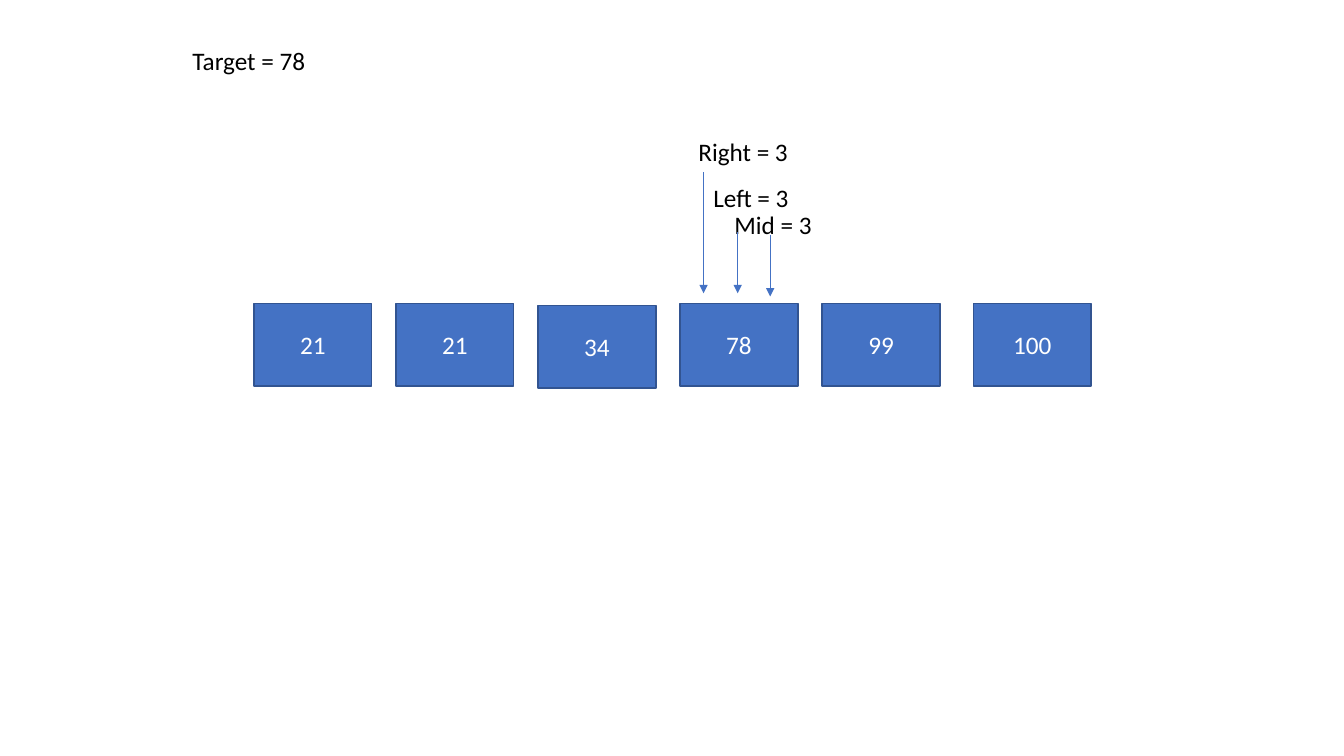
from lxml import etree
from pptx import Presentation
from pptx import util as u
from pptx.dml.color import RGBColor
from pptx.enum import shapes, text
from pptx.oxml.ns import qn


def rgb(code):
    return RGBColor.from_string(code)


def write(shape, words, color="000000", align=text.PP_ALIGN.LEFT,
          anchor=text.MSO_ANCHOR.TOP):
    frame = shape.text_frame
    frame.word_wrap = True
    frame.vertical_anchor = anchor
    para = frame.paragraphs[0]
    para.alignment = align
    run = para.add_run()
    run.text = words
    run.font.name = "Calibri"
    run.font.size = u.Pt(18)
    run.font.color.rgb = rgb(color)


deck = Presentation()
deck.slide_width, deck.slide_height = u.Cm(33.87), u.Cm(19.05)
slide = deck.slides.add_slide(deck.slide_layouts[6])
items = slide.shapes

# Array cells: even pitch, with the third set lower and the last further right
first, pitch, top = 6.4, 3.58, 7.65
shift = {2: (0, 0.05), 5: (0.23, 0)}
for i, value in enumerate([21, 21, 34, 78, 99, 100]):
    dx, dy = shift.get(i, (0, 0))
    cell = items.add_shape(shapes.MSO_SHAPE.RECTANGLE, u.Cm(first + i * pitch + dx),
                           u.Cm(top + dy), u.Cm(2.97), u.Cm(2.08))
    cell.shadow.inherit = False
    cell.fill.solid()
    cell.fill.fore_color.rgb = rgb("4472C4")
    cell.line.color.rgb = rgb("325491")
    cell.line.width = u.Pt(1)
    write(cell, str(value), color="FFFFFF", align=text.PP_ALIGN.CENTER,
          anchor=text.MSO_ANCHOR.MIDDLE)

# Labels: words, left, top, width
labels = [
    ("Left = 3", 17.73, 4.47, 2.97),
    ("Right = 3", 17.35, 3.3, 2.97),
    ("Mid = 3", 18.26, 5.16, 2.97),
    ("Target = 78", 4.6, 1.02, 5.03),
]
for words, x, y, width in labels:
    box = items.add_textbox(u.Cm(x), u.Cm(y), u.Cm(width), u.Cm(1.02))
    write(box, words)
    box.text_frame.auto_size = text.MSO_AUTO_SIZE.SHAPE_TO_FIT_TEXT

# Pointers down to the cell: x, start, end
for x, start, end in [(18.59, 5.84, 7.39), (17.73, 4.34, 7.39), (19.41, 5.92, 7.47)]:
    arrow = items.add_connector(shapes.MSO_CONNECTOR.STRAIGHT, u.Cm(x), u.Cm(start),
                                u.Cm(x), u.Cm(end))
    arrow.line.color.rgb = rgb("4472C4")
    arrow.line.width = u.Pt(0.5)
    etree.SubElement(arrow.line._get_or_add_ln(), qn("a:tailEnd"), type="triangle")
    etree.SubElement(arrow._element.spPr, qn("a:effectLst"))

deck.save("out.pptx")
